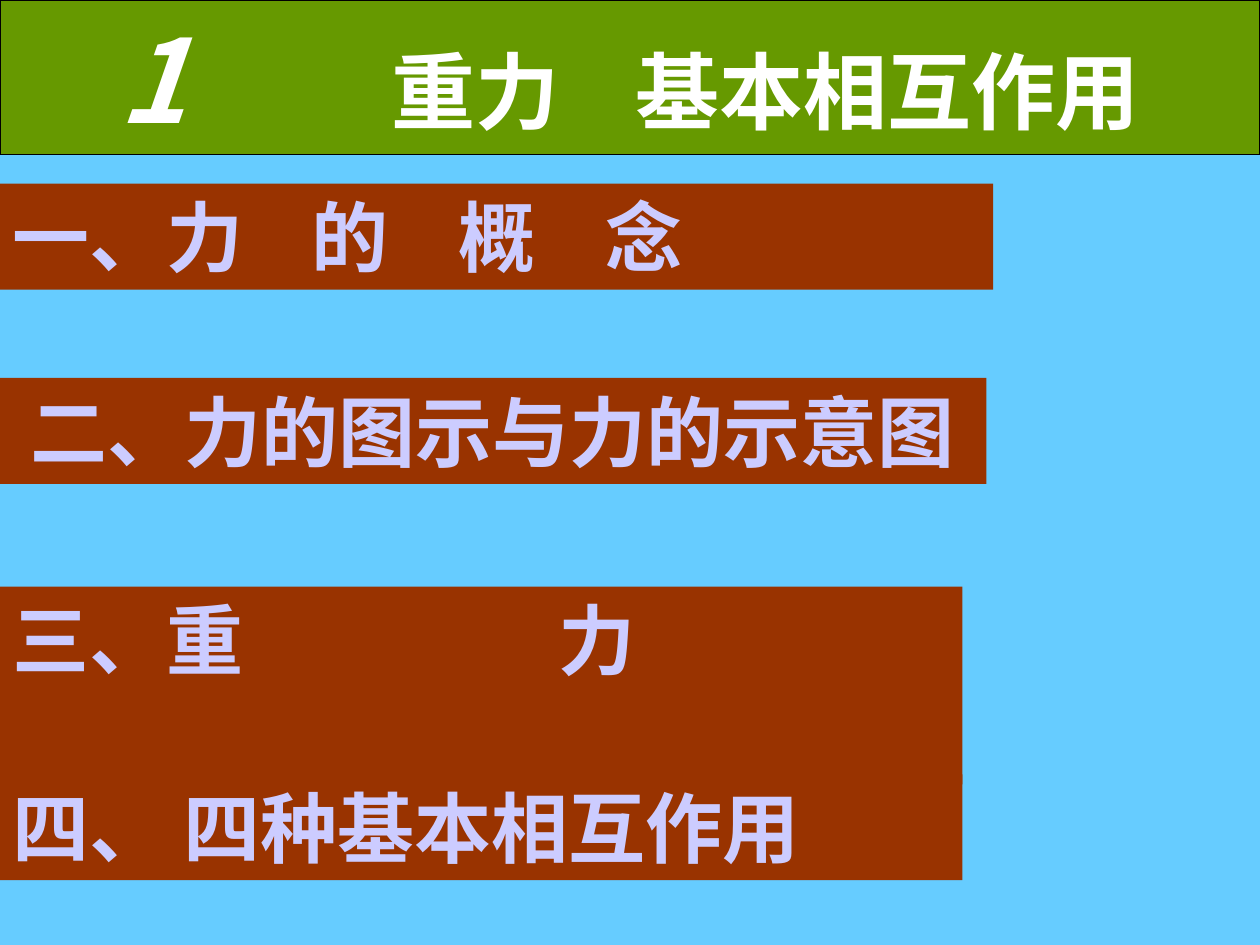
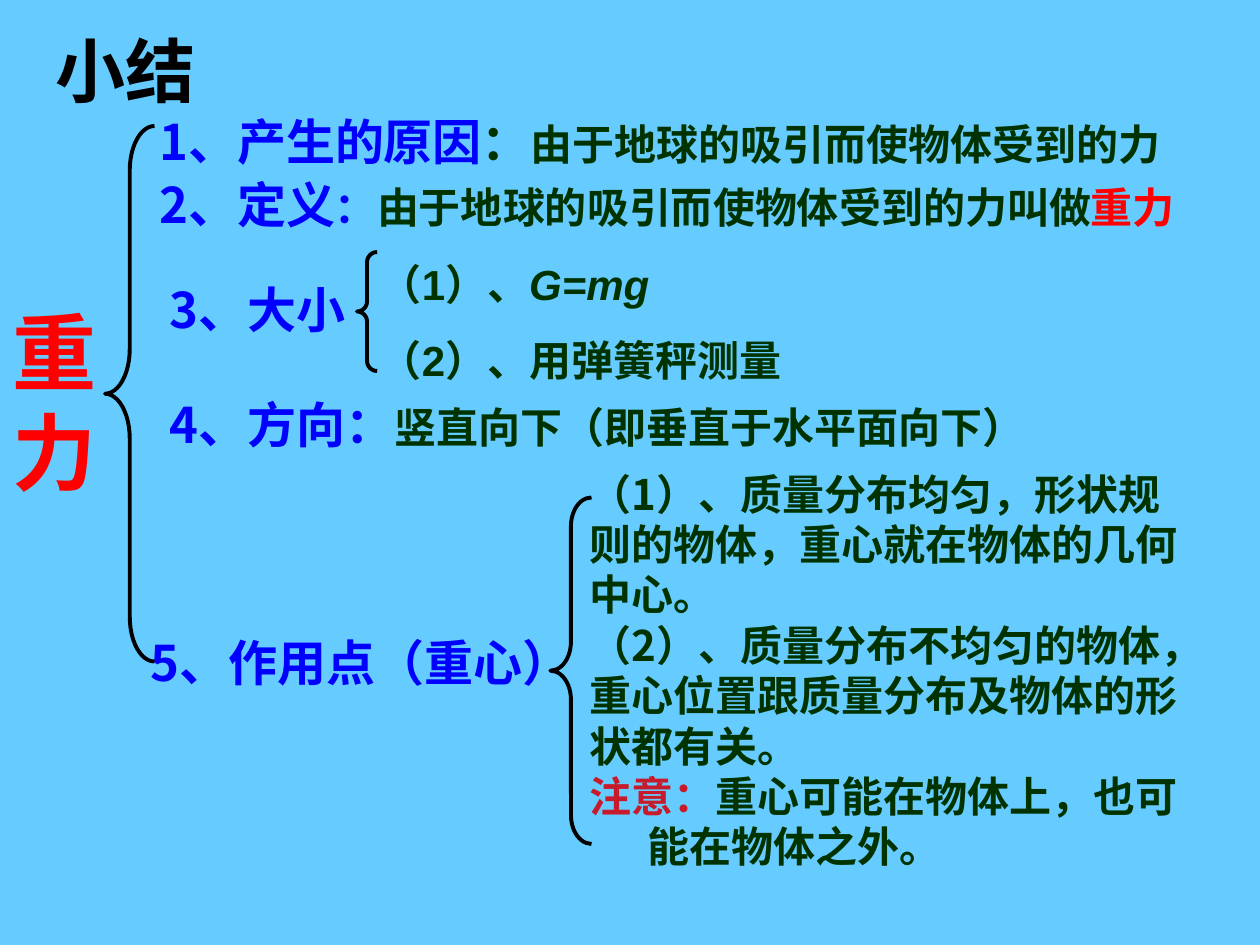
from dataclasses import dataclass
from lxml.etree import SubElement as Sub
from pptx import Presentation
from pptx.dml.color import RGBColor as Rgb
from pptx.enum.shapes import MSO_SHAPE as Kind
from pptx.enum.text import MSO_ANCHOR as Anchor, PP_ALIGN as Align
from pptx.oxml.ns import qn
from pptx.util import Pt


@dataclass(frozen=True)
class Theme:
    """Hold the colours, fonts and type sizes of the deck."""
    sky: str = "66CCFF"
    green: str = "669900"
    brown: str = "993300"
    lilac: str = "CCCCFF"
    white: str = "FFFFFF"
    black: str = "000000"
    blue: str = "0000FF"
    dark: str = "003300"
    red: str = "FF0000"
    rust: str = "C71B2B"
    sans: str = "Noto Sans CJK SC"
    gothic: str = "Noto Sans CJK JP"
    serif: str = "Times New Roman"
    plain: str = "Arial"
    number: int = 66
    title: int = 48
    topic: int = 44
    heading: int = 40
    label: int = 28
    body: int = 24


T = Theme()
NOTE = dict(size=T.body, color=T.dark)
LABEL = dict(size=T.label, color=T.blue)


def write(par, text, size=T.body, color=T.dark, face=T.sans, italic=False):
    """Add one bold run of text in the given format."""
    run = par.add_run()
    run.text = text
    font = run.font
    font.size, font.name = Pt(size), face
    font.bold, font.italic = True, italic
    font.color.rgb = Rgb.from_string(color)
    east = face if face in (T.sans, T.gothic) else T.sans
    Sub(run._r.get_or_add_rPr(), qn("a:ea"), typeface=east)


def fill_in(shape, pars, wrap=True, align=Align.LEFT, space=0):
    """Write paragraphs of (text, format) runs into a shape."""
    frame = shape.text_frame
    frame.word_wrap = wrap
    frame.vertical_anchor = Anchor.TOP
    for i, runs in enumerate(pars):
        par = frame.add_paragraph() if i else frame.paragraphs[0]
        par.alignment = align
        if i and space:
            par.space_before = Pt(space)
        for text, form in runs:
            write(par, text, **form)
    return frame


def set_tabs(par, stops):
    """Give a paragraph left tab stops in points."""
    tabs = Sub(par._p.get_or_add_pPr(), qn("a:tabLst"))
    for stop in stops:
        Sub(tabs, qn("a:tab"), pos=str(int(Pt(stop))), algn="l")


def place(box, left, top, width, height):
    """Return lengths for a part placed relative to a box."""
    return [Pt(v) for v in (box[0] + left, box[1] + top, width, height)]


def band(slide, spot, color, edge=None):
    """Draw a filled band."""
    shape = slide.shapes.add_shape(Kind.RECTANGLE, *spot)
    shape.shadow.inherit = False
    shape.fill.solid()
    shape.fill.fore_color.rgb = Rgb.from_string(color)
    if edge:
        shape.line.color.rgb = Rgb.from_string(edge)
        shape.line.width = Pt(0.75)
    else:
        shape.line.fill.background()
    return shape


def brace(slide, spot, bend):
    """Draw a left brace with the given bend."""
    shape = slide.shapes.add_shape(Kind.LEFT_BRACE, *spot)
    shape.shadow.inherit = False
    shape.adjustments[0] = bend
    shape.fill.background()
    shape.line.color.rgb = Rgb.from_string(T.black)
    shape.line.width = Pt(2.25)


def note(slide, spot, *pars, **form):
    """Add a text box of paragraphs."""
    return fill_in(slide.shapes.add_textbox(*spot), pars, **form)


def banner(slide, box):
    """Draw the chapter title band."""
    shape = band(slide, place(box, 0, 0, *box[2:]), T.green, T.black)
    form = dict(color=T.white, face=T.gothic)
    runs = [("1", dict(form, size=T.number, italic=True)),
            ("\t重力\t基本相互作用", dict(form, size=T.title))]
    frame = fill_in(shape, [runs], wrap=False)
    frame.word_wrap = True
    frame.vertical_anchor = Anchor.MIDDLE
    frame.margin_left = Pt(68)
    set_tabs(frame.paragraphs[0], (156, 295))


def topics(slide, box):
    """Draw the list of topic bands."""
    form = dict(size=T.topic, color=T.lilac, face=T.serif)
    rows = [(0, 567.5, 60.5, "一、力\t的\t概\t念", (171, 255, 339)),
            (111, 563.75, 60.5, "二、力的图示与力的示意图", ()),
            (230.25, 550, 113, "三、重\t力", (312,)),
            (337.5, 550, 60.5, "四、 四种基本相互作用", ())]
    for top, width, height, text, stops in rows:
        shape = band(slide, place(box, 0, top, width, height), T.brown)
        align = Align.CENTER if top == 111 else Align.LEFT
        frame = fill_in(shape, [[(text, form)]], align=align)
        if stops:
            set_tabs(frame.paragraphs[0], stops)


def causes(slide, box):
    """Write the cause and the meaning of gravity."""
    note(slide, place(box, 0, 0, 614, 41),
         [("1、产生的原因", LABEL), ("：", dict(LABEL, color=T.dark)),
          ("由于地球的吸引而使物体受到的力", NOTE)])
    note(slide, place(box, 0, 36, 606, 41),
         [("2、定义", LABEL), ("：", dict(NOTE, color=T.blue)),
          ("由于地球的吸引而使物体受到的力叫做", NOTE),
          ("重力", dict(NOTE, color=T.red))])


def traits(slide, box):
    """Write the size and the direction of gravity."""
    form = dict(NOTE, face=T.plain)
    note(slide, place(box, 0, 12, 126, 41), [("3、大小", LABEL)])
    brace(slide, place(box, 114, 0, 11.5, 68), 0.5)
    note(slide, place(box, 120, 0, 374, 80),
         [("（1）、", form), ("G=mg", dict(form, italic=True))],
         [("（2）、用弹簧秤测量", form)], space=15)
    note(slide, place(box, 0, 78, 533, 41),
         [("4、方向：", LABEL), ("竖直向下（即垂直于水平面向下）", NOTE)])


def centre(slide, box):
    """Write the notes on the centre of gravity."""
    note(slide, place(box, 0, 94, 270, 41), [("5、作用点（重心）", LABEL)])
    brace(slide, place(box, 235.5, 20.25, 23.5, 198), 0.7)
    frame = note(
        slide, place(box, 251, 0, 360, 266),
        [("（1）、质量分布均匀，形状规则的物体，重心就在物体的几何中心。", NOTE)],
        [("（2）、质量分布不均匀的物体，重心位置跟质量分布及物体的形状都有关。", NOTE)],
        [("注意：", dict(NOTE, color=T.rust)), ("重心可能在物体上，也可", NOTE)],
        [("能在物体之外。", NOTE)])
    last = frame.paragraphs[-1]._p.get_or_add_pPr()
    last.set("marL", str(int(Pt(33))))
    last.set("indent", "0")


def root(slide, box):
    """Write the subject beside its large brace."""
    note(slide, place(box, 0, 96, 62.5, 122),
         [("重力", dict(size=T.title, color=T.red, face=T.plain))])
    brace(slide, place(box, 60, 0, 28.25, 306), 0.9)


def outline(slide):
    """Build the outline slide."""
    banner(slide, (0, 0, 720, 88.5))
    topics(slide, (0, 105))


def summary(slide):
    """Build the summary slide."""
    note(slide, place((24.5, 12), 0, 0, 94.5, 55.5),
         [("小结", dict(size=T.heading, color=T.black, face=T.plain))],
         wrap=False)
    causes(slide, (84, 60))
    traits(slide, (90, 144))
    centre(slide, (79, 264))
    root(slide, (0, 72))


def main():
    """Build and save the deck."""
    deck = Presentation()
    deck.slide_width, deck.slide_height = Pt(720), Pt(540)
    for build in (outline, summary):
        slide = deck.slides.add_slide(deck.slide_layouts[6])
        back = slide.background.fill
        back.solid()
        back.fore_color.rgb = Rgb.from_string(T.sky)
        build(slide)
    deck.save("out.pptx")


if __name__ == "__main__":
    main()
